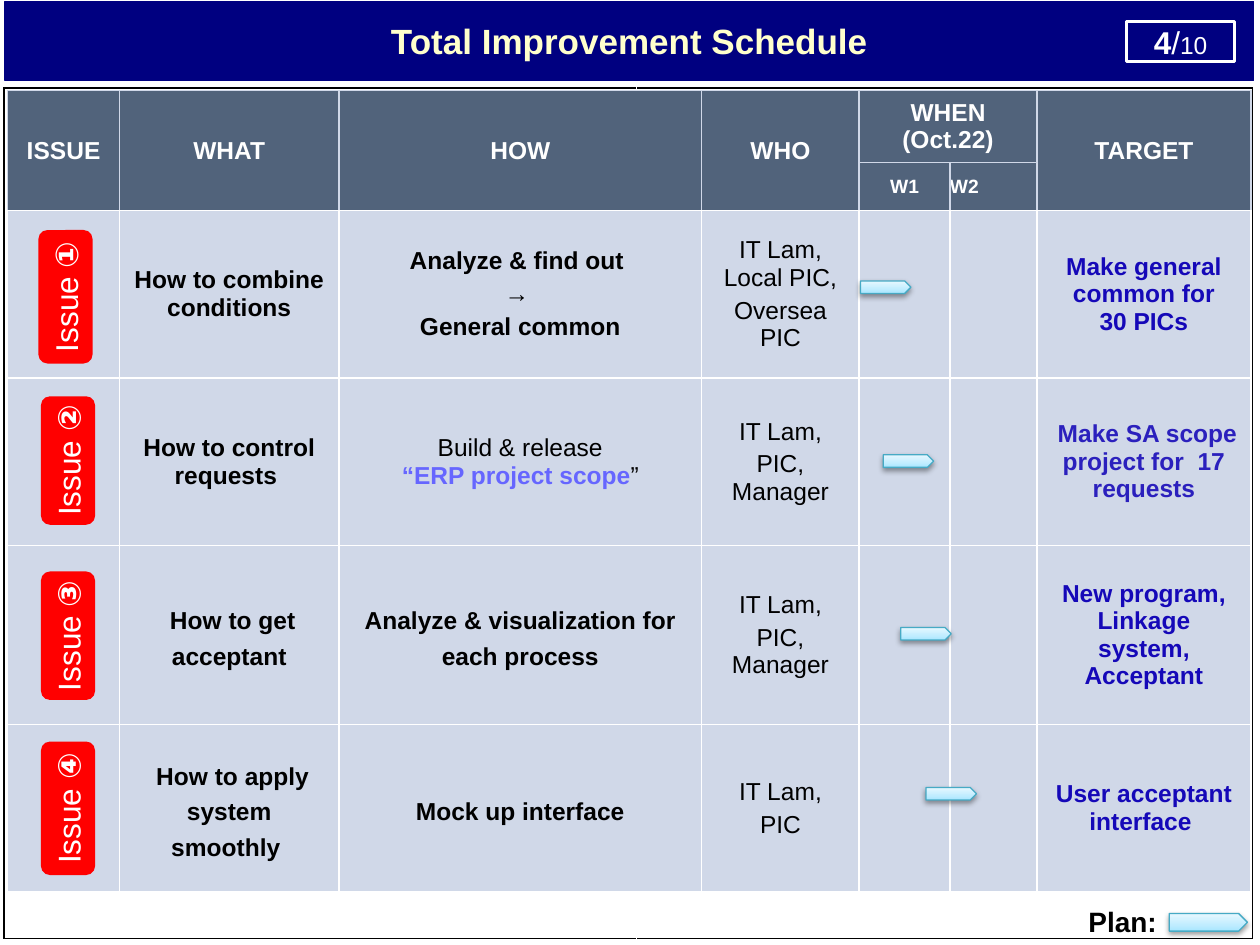
"""Build the total improvement schedule slide."""
import dataclasses
import typing

import lxml.etree
import pptx
import pptx.dml.color
import pptx.enum.shapes
import pptx.enum.text
import pptx.oxml
import pptx.oxml.ns
import pptx.util

Inches = pptx.util.Inches
Pt = pptx.util.Pt
Align = pptx.enum.text.PP_ALIGN
Middle = pptx.enum.text.MSO_ANCHOR.MIDDLE
Shapes = pptx.enum.shapes.MSO_SHAPE

FONT = "Arial"
COLORS = {
    "navy": "000080", "cream": "FFFFCC", "white": "FFFFFF", "black": "000000",
    "header": "51637B", "body": "D0D8E8", "blue": "1508B8", "indigo": "2B20BD",
    "violet": "6666FF", "red": "FF0000", "arrow edge": "46AAC5",
    "arrow deep": "A7E6FF", "arrow mid": "C1EDFF", "arrow pale": "E7F8FF",
}
COLUMN_WIDTHS = [0.89, 1.74, 2.88, 1.25, 0.72, 0.69, 1.7]
ROW_HEIGHTS = [0.57, 0.38, 1.33, 1.33, 1.42, 1.33]
HEADINGS = {0: "ISSUE", 1: "WHAT", 2: "HOW", 3: "WHO", 4: "WHEN (Oct.22)", 6: "TARGET"}


@dataclasses.dataclass
class Run:
    text: str
    color: typing.Optional[str] = None
    bold: typing.Optional[bool] = None
    size: typing.Optional[float] = None


Paragraphs = list[list[Run]]


@dataclasses.dataclass
class Style:
    size: float = 14
    color: str = "black"
    bold: bool = False
    align: Align = Align.CENTER
    before: float = 0
    spacing: float = 1.0
    margins: tuple[float, float] = (0.09, 0.04)


@dataclasses.dataclass
class Box:
    left: float
    top: float
    width: float
    height: float

    def lengths(self) -> list[int]:
        return [Inches(value) for value in dataclasses.astuple(self)]


@dataclasses.dataclass
class Issue:
    number: str
    label: Box
    arrow: Box
    what: str
    how: Paragraphs
    who: list[str]
    target: Paragraphs
    what_spacing: float = 1.0
    how_style: Style = dataclasses.field(default_factory=lambda: Style(bold=True, before=3))


WIDE = Style(bold=True, before=3, spacing=1.3)
ISSUES = [
    Issue("①", Box(-0.01, 2.14, 1.06, 0.43), Box(6.83, 2.23, 0.4, 0.1),
          "How to combine conditions",
          [[Run("Analyze & find out ")], [Run("→ ")], [Run("General common")]],
          ["IT Lam, Local PIC,", "Oversea PIC"],
          [[Run("Make general common for")], [Run("30 PICs")]]),
    Issue("②", Box(0.03, 3.44, 1.02, 0.43), Box(7.01, 3.61, 0.4, 0.1),
          "How to control requests ",
          [[Run("Build & release")],
           [Run("“ERP project scope", "violet", True), Run("”")]],
          ["IT Lam,", "PIC, Manager"],
          [[Run(" "), Run("Make SA scope project for  17 requests", "indigo")]],
          how_style=Style()),
    Issue("③", Box(0.03, 4.83, 1.02, 0.43), Box(7.15, 4.98, 0.4, 0.1),
          " How to get acceptant",
          [[Run("Analyze & visualization for each process")]],
          ["IT Lam,", "PIC, Manager"],
          [[Run("New program, Linkage system, Acceptant")]], 1.3, WIDE),
    Issue("④", Box(0.01, 6.2, 1.06, 0.43), Box(7.35, 6.25, 0.4, 0.1),
          " How to apply system smoothly ",
          [[Run("Mock up interface")]],
          ["IT Lam,", "PIC"],
          [[Run("User acceptant interface ")]], 1.3, WIDE),
]


def rgb(name: str) -> pptx.dml.color.RGBColor:
    return pptx.dml.color.RGBColor.from_string(COLORS[name])


def write(frame, paragraphs: Paragraphs, style: Style) -> None:
    for index, runs in enumerate(paragraphs):
        paragraph = frame.add_paragraph() if index else frame.paragraphs[0]
        paragraph.alignment = style.align
        paragraph.space_before = Pt(style.before)
        paragraph.line_spacing = style.spacing
        paragraph.font.name = FONT
        paragraph.font.size = Pt(style.size)
        paragraph.font.bold = style.bold
        paragraph.font.color.rgb = rgb(style.color)
        for part in runs:
            run = paragraph.add_run()
            run.text = part.text
            if part.color:
                run.font.color.rgb = rgb(part.color)
            if part.bold is not None:
                run.font.bold = part.bold
            if part.size:
                run.font.size = Pt(part.size)


def write_cell(cell, paragraphs: Paragraphs, style: Style) -> None:
    cell.vertical_anchor = Middle
    cell.margin_left = cell.margin_right = Inches(style.margins[0])
    cell.margin_top = cell.margin_bottom = Inches(style.margins[1])
    write(cell.text_frame, paragraphs, style)


def set_borders(cell, sides: str, color: str) -> None:
    properties = cell._tc.get_or_add_tcPr()
    for position, side in enumerate(sides):
        properties.insert(position, pptx.oxml.parse_xml(
            f'<a:ln{side} {pptx.oxml.ns.nsdecls("a")} w="12700"><a:solidFill>'
            f'<a:srgbClr val="{COLORS[color]}"/></a:solidFill></a:ln{side}>'))


def add_grid(slide, left: float, top: float, widths: list[float], heights: list[float]):
    box = Box(left, top, sum(widths), sum(heights))
    table = slide.shapes.add_table(len(heights), len(widths), *box.lengths()).table
    table.first_row = table.horz_banding = False
    for column, width in zip(table.columns, widths):
        column.width = Inches(width)
    for row, height in zip(table.rows, heights):
        row.height = Inches(height)
    return table


def add_frame(slide) -> None:
    table = add_grid(slide, 0.03, 0.7, [5.02, 4.89], [6.75])
    for cell, sides in zip(table.iter_cells(), ("LTB", "RTB")):
        cell.fill.background()
        set_borders(cell, sides, "black")


def add_schedule(slide) -> None:
    table = add_grid(slide, 0.06, 0.72, COLUMN_WIDTHS, ROW_HEIGHTS)
    for index, cell in enumerate(table.iter_cells()):
        is_header = index < 2 * len(COLUMN_WIDTHS)
        cell.fill.solid()
        cell.fill.fore_color.rgb = rgb("header" if is_header else "body")
        set_borders(cell, "LRTB", "body" if is_header else "white")
    heading = Style(color="white", bold=True, margins=(0.1, 0.05))
    for column, text in HEADINGS.items():
        end = (0, 5) if column == 4 else (1, column)
        table.cell(0, column).merge(table.cell(*end))
        write_cell(table.cell(0, column), [[Run(text)]], heading)
    for column, text, align in ((4, "W1", Align.CENTER), (5, "W2", Align.LEFT)):
        week = dataclasses.replace(heading, size=11, align=align, margins=(0, 0))
        write_cell(table.cell(1, column), [[Run(text)]], week)
    for row, issue in enumerate(ISSUES, 2):
        what = Style(bold=True, spacing=issue.what_spacing)
        write_cell(table.cell(row, 1), [[Run(issue.what)]], what)
        write_cell(table.cell(row, 2), issue.how, issue.how_style)
        write_cell(table.cell(row, 3), [[Run(name)] for name in issue.who], Style(before=3))
        write_cell(table.cell(row, 6), issue.target,
                   Style(color="blue", bold=True, margins=(0.1, 0.05)))


def add_label(slide, issue: Issue) -> None:
    shape = slide.shapes.add_shape(Shapes.ROUNDED_RECTANGLE, *issue.label.lengths())
    shape.rotation = 270
    shape.shadow.inherit = False
    shape.fill.solid()
    shape.fill.fore_color.rgb = rgb("red")
    shape.line.fill.background()
    frame = shape.text_frame
    frame.margin_left = frame.margin_right = frame.margin_top = frame.margin_bottom = 0
    frame.vertical_anchor = Middle
    write(frame, [[Run("Issue "), Run(issue.number, bold=True)]], Style(18, "white"))


def add_arrow(slide, box: Box) -> None:
    shape = slide.shapes.add_shape(Shapes.PENTAGON, *box.lengths())
    shape.shadow.inherit = False
    shape.line.color.rgb = rgb("arrow edge")
    shape.line.width = Pt(0.75)
    namespace = pptx.oxml.ns.nsdecls("a")
    stops = "".join(
        f'<a:gs pos="{place * 1000}"><a:srgbClr val="{COLORS[name]}"/></a:gs>'
        for place, name in ((0, "arrow deep"), (35, "arrow mid"), (100, "arrow pale")))
    properties = shape._element.spPr
    properties.insert(2, pptx.oxml.parse_xml(
        f'<a:gradFill {namespace} rotWithShape="1"><a:gsLst>{stops}</a:gsLst>'
        '<a:lin ang="16200000" scaled="1"/></a:gradFill>'))
    properties.find(pptx.oxml.ns.qn("a:effectLst")).append(lxml.etree.fromstring(
        f'<a:outerShdw {namespace} blurRad="{Pt(3.1)}" dist="{Pt(1.6)}" dir="5400000" '
        'rotWithShape="0"><a:srgbClr val="000000"><a:alpha val="38000"/>'
        '</a:srgbClr></a:outerShdw>'))


def add_title(slide) -> None:
    title = slide.shapes.title
    title.left, title.top, title.width, title.height = Box(0.04, 0.01, 9.91, 0.63).lengths()
    title.fill.solid()
    title.fill.fore_color.rgb = title.line.color.rgb = rgb("navy")
    title.line.width = Pt(0.75)
    title.text_frame.auto_size = pptx.enum.text.MSO_AUTO_SIZE.NONE
    title.text_frame.vertical_anchor = Middle
    write(title.text_frame, [[Run("Total Improvement Schedule")]], Style(20, "cream", True))


def add_page_number(slide) -> None:
    shape = slide.shapes.add_shape(Shapes.RECTANGLE, *Box(8.94, 0.17, 0.86, 0.32).lengths())
    shape.shadow.inherit = False
    shape.fill.background()
    shape.line.color.rgb = rgb("white")
    shape.line.width = Pt(2)
    shape.text_frame.vertical_anchor = Middle
    write(shape.text_frame, [[Run("4", bold=True), Run("/"), Run("10", size=14)]],
          Style(18, "white"))


def add_legend(slide) -> None:
    add_arrow(slide, Box(9.28, 7.25, 0.62, 0.14))
    text_box = slide.shapes.add_textbox(*Box(8.54, 7.13, 0.92, 0.37).lengths())
    text_box.text_frame.word_wrap = True
    write(text_box.text_frame, [[Run("Plan:")]], Style(16, bold=True, align=Align.LEFT))


def main() -> None:
    presentation = pptx.Presentation()
    presentation.slide_width, presentation.slide_height = Inches(10), Inches(7.5)
    slide = presentation.slides.add_slide(presentation.slide_layouts[5])
    add_title(slide)
    add_page_number(slide)
    add_frame(slide)
    add_schedule(slide)
    for issue in ISSUES:
        add_label(slide, issue)
        add_arrow(slide, issue.arrow)
    add_legend(slide)
    presentation.save("out.pptx")


if __name__ == "__main__":
    main()
